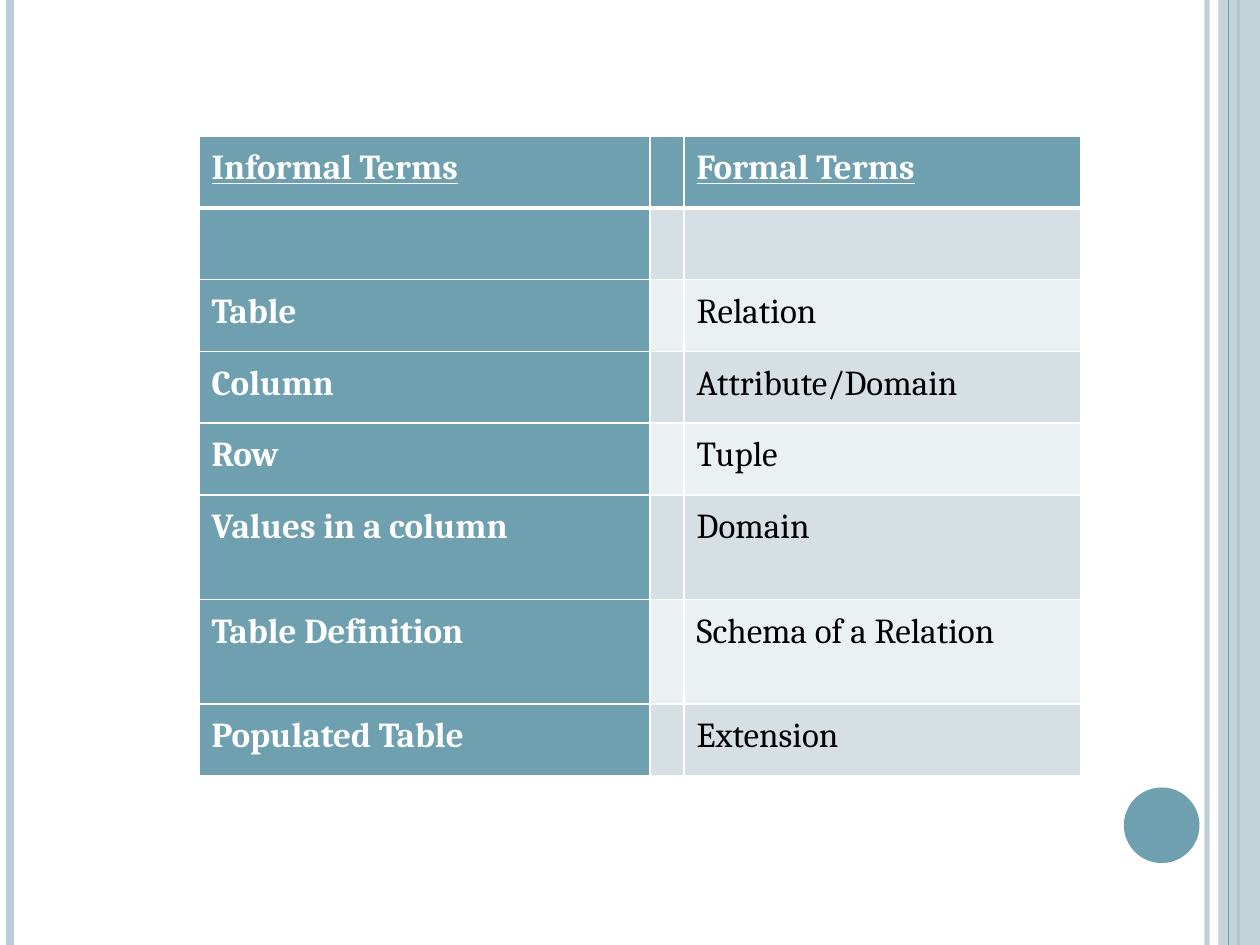
from dataclasses import dataclass
from typing import Optional

from lxml.etree import SubElement
from pptx import Presentation
from pptx.dml.color import RGBColor
from pptx.enum.shapes import MSO_CONNECTOR, MSO_SHAPE
from pptx.oxml.ns import qn
from pptx.util import Inches, Pt

WIDTH, HEIGHT = 10, 7.5


@dataclass(frozen=True)
class Theme:
    accent: str = "6EA0B0"
    pale: str = "BACDD4"
    band_dark: str = "D5DFE4"
    band_light: str = "EBF0F2"
    white: str = "FFFFFF"
    black: str = "000000"
    font: str = "Cambria"
    size: float = 20
    line_spacing: float = 1.15
    rule: float = 1
    header_rule: float = 3


@dataclass(frozen=True)
class Stripe:
    """Full-height vertical line; x is a share of the slide's width."""
    x: float
    color: str
    weight: float
    opacity: Optional[int] = None


THEME = Theme()
OUTER_STRIPES = (
    Stripe(0.958, THEME.pale, 3, 93),
    Stripe(0.008, THEME.pale, 4.5),
    Stripe(0.983, THEME.accent, 1.5),
)
INNER_STRIPE = Stripe(0.975, THEME.accent, 0.75)

COLUMN_WIDTHS = (3.58, 0.27, 3.15)
ROW, TALL_ROW = 0.57, 0.83
TERMS = (
    ("Informal Terms", "Formal Terms", ROW),
    ("", "", ROW),
    ("Table", "Relation", ROW),
    ("Column", "Attribute/Domain", ROW),
    ("Row", "Tuple", ROW),
    ("Values in a column", "Domain", TALL_ROW),
    ("Table Definition", "Schema of a Relation", TALL_ROW),
    ("Populated Table", "Extension", ROW),
)


def rgb(color: str) -> RGBColor:
    return RGBColor.from_string(color)


def set_opacity(properties, percent: int) -> None:
    color = next(properties.iter(qn("a:srgbClr")))
    SubElement(color, qn("a:alpha"), val=str(percent * 1000))


def add_stripe(slide, stripe: Stripe) -> None:
    x = Inches(stripe.x * WIDTH)
    line = slide.shapes.add_connector(MSO_CONNECTOR.STRAIGHT, x, 0, x, Inches(HEIGHT))
    line.line.color.rgb = rgb(stripe.color)
    line.line.width = Pt(stripe.weight)
    properties = line._element.spPr
    if stripe.opacity is not None:
        set_opacity(properties, stripe.opacity)
    SubElement(properties, qn("a:effectLst"))


def add_block(slide, preset, left: float, top: float, width: float, height: float,
              color: str, opacity: Optional[int] = None) -> None:
    shape = slide.shapes.add_shape(
        preset, Inches(left), Inches(top), Inches(width), Inches(height))
    shape.shadow.inherit = False
    shape.fill.solid()
    shape.fill.fore_color.rgb = rgb(color)
    shape.line.fill.background()
    if opacity is not None:
        set_opacity(shape._element.spPr, opacity)


def write_text(cell, text: str, *, color: str, bold: bool = False,
               underline: bool = False) -> None:
    paragraph = cell.text_frame.paragraphs[0]
    paragraph.line_spacing = THEME.line_spacing
    run = paragraph.add_run()
    run.text = text
    font = run.font
    font.name, font.size = THEME.font, Pt(THEME.size)
    font.bold, font.underline = bold, underline
    font.color.rgb = rgb(color)


def set_borders(cell, top: float, bottom: float) -> None:
    properties = cell._tc.get_or_add_tcPr()
    weights = {"L": THEME.rule, "R": THEME.rule, "T": top, "B": bottom}
    for side, weight in weights.items():
        border = SubElement(properties, qn(f"a:ln{side}"), w=str(Pt(weight)))
        fill = SubElement(border, qn("a:solidFill"))
        SubElement(fill, qn("a:srgbClr"), val=THEME.white)


def add_terms_table(slide, left: float, top: float) -> None:
    table = slide.shapes.add_table(
        len(TERMS), len(COLUMN_WIDTHS), Inches(left), Inches(top),
        Inches(sum(COLUMN_WIDTHS)), Inches(sum(term[-1] for term in TERMS))).table
    for column, width in zip(table.columns, COLUMN_WIDTHS):
        column.width = Inches(width)

    for row_index, (informal, formal, height) in enumerate(TERMS):
        table.rows[row_index].height = Inches(height)
        is_header = row_index == 0
        band = THEME.band_dark if row_index % 2 else THEME.band_light
        for column_index, text in enumerate((informal, "", formal)):
            cell = table.cell(row_index, column_index)
            strong = is_header or column_index == 0
            set_borders(cell,
                        top=THEME.header_rule if row_index == 1 else THEME.rule,
                        bottom=THEME.header_rule if is_header else THEME.rule)
            cell.fill.solid()
            cell.fill.fore_color.rgb = rgb(THEME.accent if strong else band)
            if text:
                write_text(cell, text, bold=strong, underline=is_header,
                           color=THEME.white if strong else THEME.black)


def main() -> None:
    presentation = Presentation()
    presentation.slide_width, presentation.slide_height = Inches(WIDTH), Inches(HEIGHT)
    slide = presentation.slides.add_slide(presentation.slide_layouts[6])

    # Side decoration, back to front
    for stripe in OUTER_STRIPES:
        add_stripe(slide, stripe)
    add_block(slide, MSO_SHAPE.RECTANGLE, 9.67, 0, 0.33, HEIGHT, THEME.pale, opacity=87)
    add_stripe(slide, INNER_STRIPE)
    add_block(slide, MSO_SHAPE.OVAL, 8.92, 6.25, 0.6, 0.6, THEME.accent)

    # Terms table
    add_terms_table(slide, 1.58, 1.08)
    presentation.save("out.pptx")


if __name__ == "__main__":
    main()
